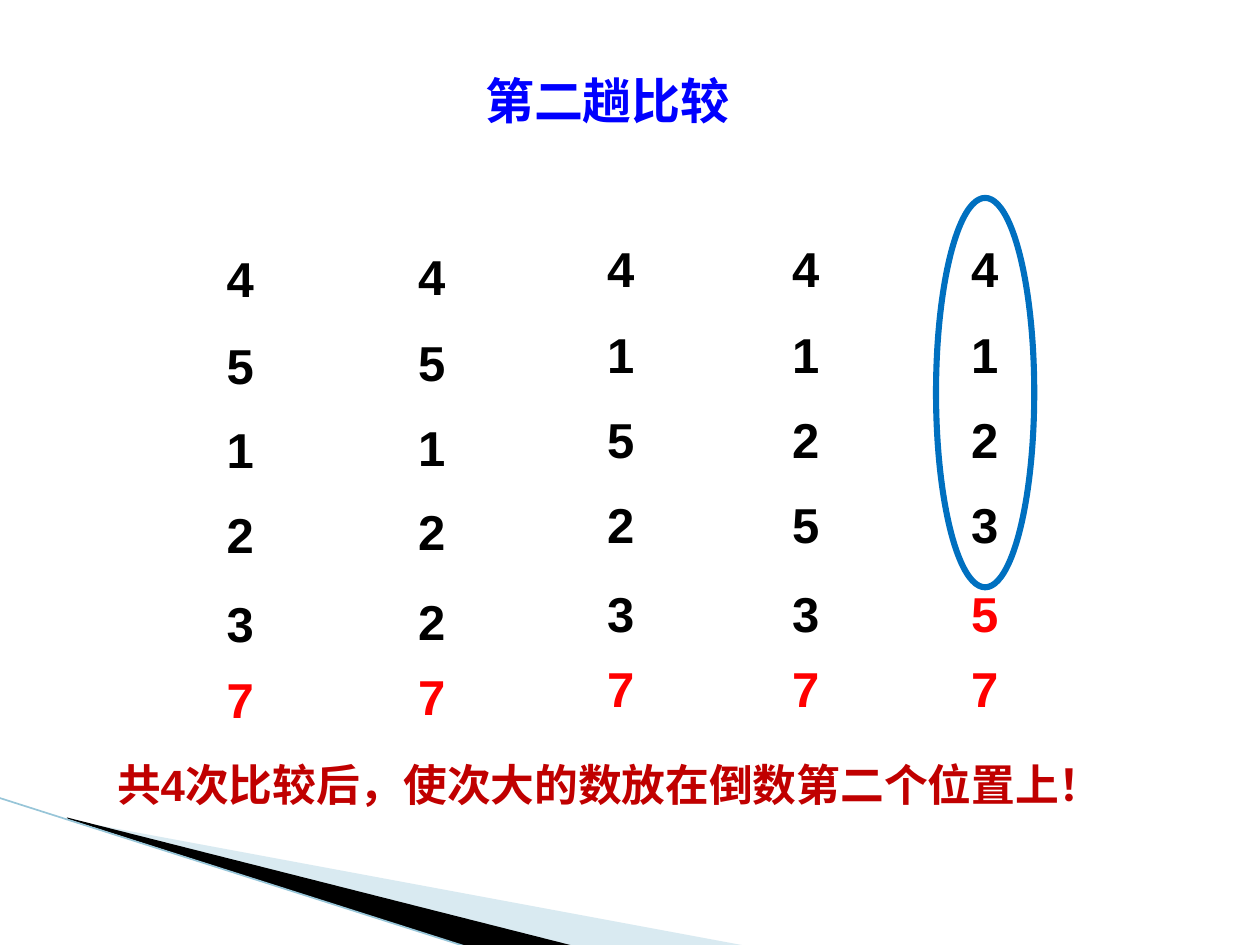
from dataclasses import dataclass

from lxml.etree import SubElement
from pptx import Presentation
from pptx.dml.color import RGBColor
from pptx.enum.shapes import MSO_CONNECTOR, MSO_SHAPE
from pptx.enum.text import MSO_ANCHOR, PP_ALIGN
from pptx.oxml.ns import qn
from pptx.util import Cm, Pt


@dataclass(frozen=True)
class Theme:
    latin: str = "Arial"
    asian: str = "Noto Sans CJK SC"
    large: float = 28
    small: float = 25
    ring: float = 3.5
    hair: float = 0.95
    blue: str = "0000FF"
    black: str = "000000"
    red: str = "FF0000"
    dark: str = "C00000"
    white: str = "FFFFFF"
    oval: str = "0070C0"
    pale: str = "A0CBDC"
    edge: str = "97C5D8"


@dataclass(frozen=True)
class Column:
    left: float
    top: float
    digits: str
    done: int


@dataclass(frozen=True)
class Wedge:
    points: tuple
    color: str
    alpha: int


THEME = Theme()
STEPS = (0, 1.75, 3.45, 5.16, 6.96, 8.48)
COLUMNS = (
    Column(4.32, 4.88, "451237", 1),
    Column(8.18, 4.83, "451227", 1),
    Column(11.99, 4.67, "415237", 1),
    Column(15.72, 4.67, "412537", 1),
    Column(19.33, 4.67, "412357", 2),
)
WEDGES = (
    Wedge(((1.4, 16.53), (15.11, 19.08), (11.58, 19.08), (1.4, 16.51)), THEME.pale, 40),
    Wedge(((1.35, 16.48), (11.61, 19.08), (9.45, 19.1), (1.37, 16.51)), THEME.black, 100),
)


def paint(fill, color: str, alpha: int = 100) -> None:
    fill.solid()
    fill.fore_color.rgb = RGBColor.from_string(color)
    if alpha < 100:
        tone = fill._xPr.find(qn("a:solidFill"))[0]
        SubElement(tone, qn("a:alpha"), val=str(alpha * 1000))


def stroke(line, color: str, width: float) -> None:
    line.color.rgb = RGBColor.from_string(color)
    line.width = Pt(width)


def write(shape, text: str, *, size: float, color: str, font: str = THEME.latin,
          inset: float = 0.25) -> None:
    frame = shape.text_frame
    frame.word_wrap = True
    frame.vertical_anchor = MSO_ANCHOR.TOP
    frame.margin_left = frame.margin_right = Cm(inset)
    frame.margin_top = frame.margin_bottom = Cm(0.13)
    line = frame.paragraphs[0]
    line.alignment = PP_ALIGN.LEFT
    run = line.add_run()
    run.text = text
    run.font.name = font
    run.font.size = Pt(size)
    run.font.bold = True
    run.font.color.rgb = RGBColor.from_string(color)
    SubElement(run.font._element, qn("a:ea"), typeface=THEME.asian)


def draw_wedge(shapes, wedge: Wedge) -> None:
    start, *rest = [(Cm(x), Cm(y)) for x, y in wedge.points]
    path = shapes.build_freeform(*start)
    path.add_line_segments(rest, close=True)
    shape = path.convert_to_shape()
    shape.shadow.inherit = False
    paint(shape.fill, wedge.color, wedge.alpha)
    shape.line.fill.background()


def draw_edge(shapes) -> None:
    edge = shapes.add_connector(MSO_CONNECTOR.STRAIGHT, Cm(-0.03), Cm(16.08), Cm(9.45), Cm(19.1))
    stroke(edge.line, THEME.edge, THEME.hair)
    SubElement(edge._element.spPr, qn("a:effectLst"))


def draw_column(shapes, column: Column) -> None:
    group = shapes.add_group_shape()
    split = len(column.digits) - column.done
    for row, (digit, step) in enumerate(zip(column.digits, STEPS)):
        box = group.shapes.add_textbox(Cm(column.left), Cm(column.top + step), Cm(1.07), Cm(1.45))
        color = THEME.black if row < split else THEME.red
        write(box, digit, size=THEME.large, color=color)


def main() -> None:
    """Build the slide on the second pass of bubble sort."""
    deck = Presentation()
    deck.slide_width, deck.slide_height = Cm(25.4), Cm(19.05)
    shapes = deck.slides.add_slide(deck.slide_layouts[6]).shapes

    for wedge in WEDGES:
        draw_wedge(shapes, wedge)
    draw_edge(shapes)

    title = shapes.add_textbox(Cm(9.53), Cm(1.3), Cm(5.97), Cm(1.45))
    write(title, "第二趟比较", size=THEME.large, color=THEME.blue, font=THEME.asian)

    for column in COLUMNS:
        draw_column(shapes, column)

    note = shapes.add_shape(MSO_SHAPE.RECTANGLE, Cm(2.08), Cm(15.14), Cm(20.96), Cm(1.37))
    note.shadow.inherit = False
    paint(note.fill, THEME.white)
    note.line.fill.background()
    write(note, "共4次比较后，使次大的数放在倒数第二个位置上！",
          size=THEME.small, color=THEME.dark, inset=0.28)

    ring = shapes.add_shape(MSO_SHAPE.OVAL, Cm(18.87), Cm(3.99), Cm(1.98), Cm(7.85))
    ring.shadow.inherit = False
    ring.fill.background()
    stroke(ring.line, THEME.oval, THEME.ring)

    deck.save("out.pptx")


if __name__ == "__main__":
    main()
